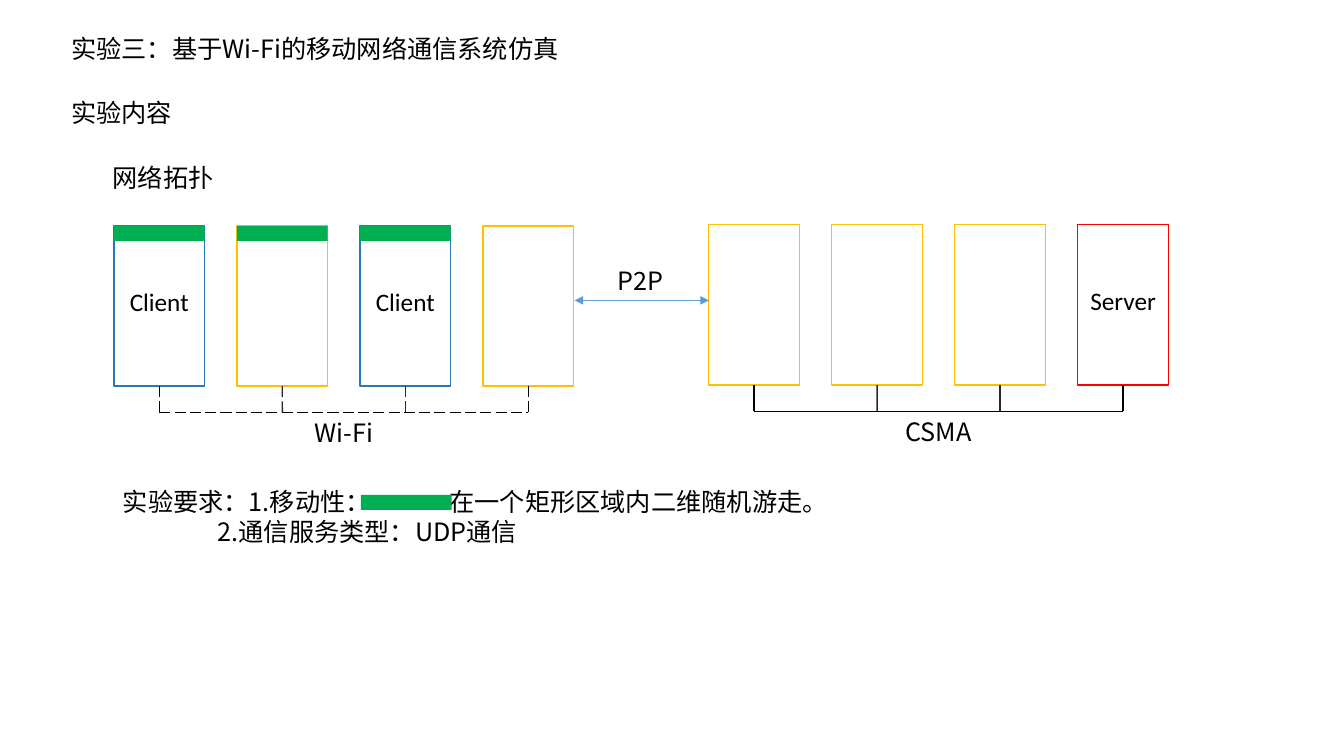
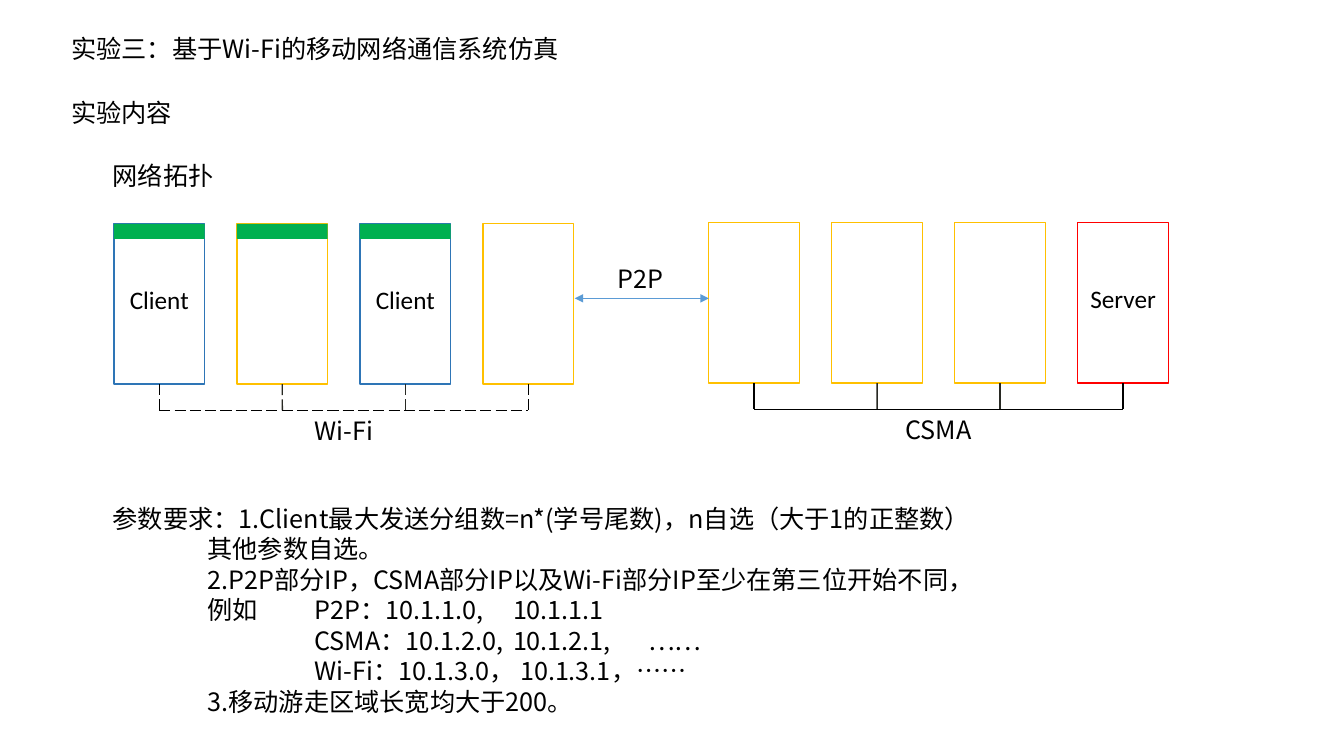
from lxml.etree import SubElement
from pptx import Presentation
from pptx.dml.color import RGBColor
from pptx.enum.dml import MSO_LINE_DASH_STYLE as Dash
from pptx.enum.shapes import MSO_CONNECTOR as Connector, MSO_SHAPE as Shape
from pptx.enum.text import MSO_ANCHOR as Anchor, PP_ALIGN as Align
from pptx.oxml.ns import qn
from pptx.util import Inches, Pt

BLACK, GRAPHITE, GREEN = "000000", "282923", "00B050"
BLUE, YELLOW, RED, ARROW_BLUE = "2E75B6", "FFC000", "FF0000", "5B9BD5"
BODY_FONT, NODE_FONT = "Noto Sans CJK SC", "Calibri"

NODE_WIDTH, NODE_HEIGHT, NODE_PITCH = 0.9, 1.59, 1.22
BAR_HEIGHT, BUS_DROP = 0.15, 0.26
LABEL_WIDTH, LABEL_HEIGHT = 1.2, 0.4

# Each node: label, outline colour, whether it carries the mobile bar
WIFI_NODES = [("Client", BLUE, True), ("", YELLOW, True),
              ("Client", BLUE, True), ("", YELLOW, False)]
CSMA_NODES = [("", YELLOW, False)] * 3 + [("Server", RED, False)]

EXPERIMENT_TEXT = [
    "实验要求：1.移动性：\t在一个矩形区域内二维随机游走。",
    "\t2.通信服务类型：UDP通信",
]
PARAMETER_TEXT = [
    "参数要求：1.Client最大发送分组数=n*(学号尾数)，n自选（大于1的正整数）",
    "\t其他参数自选。",
    "\t2.P2P部分IP，CSMA部分IP以及Wi-Fi部分IP至少在第三位开始不同，",
    "\t例如\tP2P：10.1.1.0,\t10.1.1.1",
    "\t\tCSMA：10.1.2.0,\t10.1.2.1,\t……",
    "\t\tWi-Fi：10.1.3.0， 10.1.3.1，……",
    "\t3.移动游走区域长宽均大于200。",
]


def color(value):
    return RGBColor.from_string(value)


class Deck:
    def __init__(self):
        self.presentation = Presentation()
        self.presentation.slide_width = Inches(13.33)
        self.presentation.slide_height = Inches(7.5)
        self.slide = None

    def new_slide(self):
        layout = self.presentation.slide_layouts[6]
        self.slide = self.presentation.slides.add_slide(layout)
        self.text(0.61, 0.28, 5.94, 0.4, ["实验三：基于Wi-Fi的移动网络通信系统仿真"])
        self.text(0.61, 0.91, 4.4, 0.4, ["实验内容"])

    def set_font(self, paragraph, name):
        font = paragraph.font
        font.name, font.size = name, Pt(18)
        font.color.rgb = color(BLACK)
        properties = paragraph._p.pPr.find(qn("a:defRPr"))
        SubElement(properties, qn("a:ea"), typeface=name)

    def text(self, left, top, width, height, lines, align=Align.LEFT, tabs=()):
        box = self.slide.shapes.add_textbox(
            Inches(left), Inches(top), Inches(width), Inches(height))
        frame = box.text_frame
        frame.word_wrap = True
        for index, line in enumerate(lines):
            paragraph = frame.add_paragraph() if index else frame.paragraphs[0]
            paragraph.text = line
            paragraph.alignment = align
            paragraph.line_spacing = Pt(21.8)
            if tabs:
                tab_list = SubElement(paragraph._p.pPr, qn("a:tabLst"))
                for stop in tabs:
                    SubElement(tab_list, qn("a:tab"),
                               pos=str(Inches(stop)), algn="l")
            self.set_font(paragraph, BODY_FONT)

    def label(self, center, top, text):
        self.text(center - LABEL_WIDTH / 2, top, LABEL_WIDTH, LABEL_HEIGHT,
                  [text], Align.CENTER)

    def rectangle(self, left, top, height):
        shape = self.slide.shapes.add_shape(
            Shape.RECTANGLE, Inches(left), Inches(top),
            Inches(NODE_WIDTH), Inches(height))
        shape.shadow.inherit = False
        return shape

    def bar(self, left, top):
        """Green bar that marks a mobile node."""
        shape = self.rectangle(left, top, BAR_HEIGHT)
        shape.fill.solid()
        shape.fill.fore_color.rgb = color(GREEN)
        shape.line.fill.background()

    def node(self, left, top, text, outline, mobile):
        shape = self.rectangle(left, top, NODE_HEIGHT)
        shape.fill.background()
        shape.line.color.rgb = color(outline)
        shape.line.width = Pt(1)
        if text:
            frame = shape.text_frame
            frame.vertical_anchor = Anchor.MIDDLE
            frame.margin_bottom = Inches(0.14)
            paragraph = frame.paragraphs[0]
            paragraph.text = text
            paragraph.alignment = Align.CENTER
            self.set_font(paragraph, NODE_FONT)
        if mobile:
            self.bar(left, top)
        return shape

    def line(self, start, end, stroke=BLACK, width=1, dash=None):
        connector = self.slide.shapes.add_connector(
            Connector.STRAIGHT, *(Inches(value) for value in (*start, *end)))
        connector.line.color.rgb = color(stroke)
        connector.line.width = Pt(width)
        if dash:
            connector.line.dash_style = dash
        SubElement(connector._element.spPr, qn("a:effectLst"))
        return connector

    def double_arrow(self, start, end):
        connector = self.line(start, end, ARROW_BLUE, 0.5)
        outline = connector.line._get_or_add_ln()
        for tag in ("a:headEnd", "a:tailEnd"):
            SubElement(outline, qn(tag), type="triangle")

    def network(self, left, top, name, nodes, dash=None):
        """Row of nodes hanging on a shared bus with a name below it."""
        bottom = top + NODE_HEIGHT
        rail = bottom + BUS_DROP
        centers = []
        for index, node in enumerate(nodes):
            node_left = left + index * NODE_PITCH
            center = node_left + NODE_WIDTH / 2
            shape = self.node(node_left, top, *node)
            stroke = BLACK if index in (0, len(nodes) - 1) else GRAPHITE
            drop = self.line((center, bottom), (center, rail), stroke, dash=dash)
            drop.begin_connect(shape, 2)
            centers.append(center)
        self.line((centers[0], rail), (centers[-1], rail), dash=dash)
        self.label((centers[0] + centers[-1]) / 2, rail, name)

    def topology(self, top):
        self.text(1.02, top - 0.68, 2.88, 0.4, ["网络拓扑"])
        self.network(1.13, top, "Wi-Fi", WIFI_NODES, Dash.LONG_DASH)
        self.network(7.03, top - 0.01, "CSMA", CSMA_NODES)
        self.double_arrow((5.7, top + 0.74), (7.03, top + 0.74))
        self.label(6.35, top + 0.34, "P2P")


def main():
    deck = Deck()

    deck.new_slide()
    deck.topology(2.24)
    deck.text(1.12, 4.77, 8.45, 0.71, EXPERIMENT_TEXT, tabs=(0.94, 3.24))
    deck.bar(3.58, 4.91)

    deck.new_slide()
    deck.topology(2.22)
    deck.text(1.02, 4.94, 10.73, 2.22, PARAMETER_TEXT,
              tabs=(0.94, 2, 3.97, 4.17, 5.31))

    deck.presentation.save("out.pptx")


if __name__ == "__main__":
    main()
